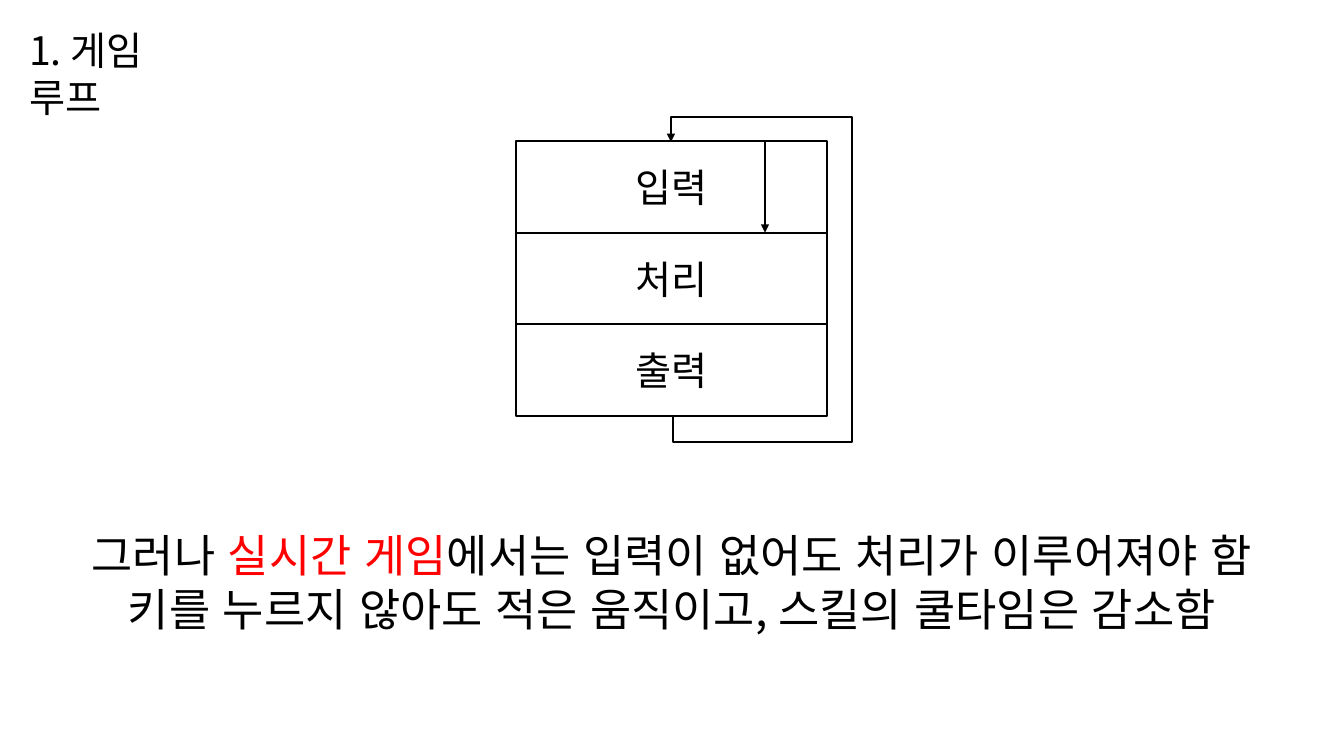
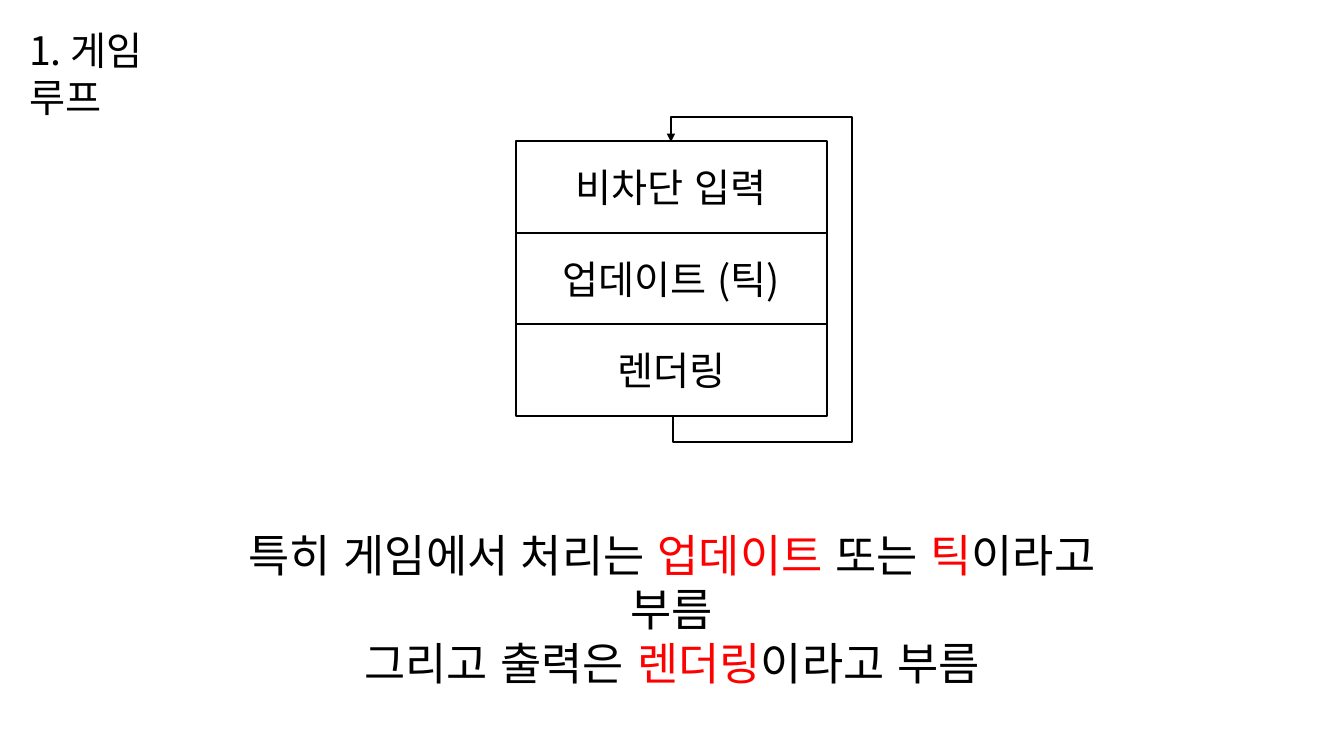
"""Build two slides on the game loop, each a three-step cycle with a caption."""
from lxml import etree
from pptx import Presentation
from pptx.dml.color import RGBColor
from pptx.enum.lang import MSO_LANGUAGE_ID
from pptx.enum.shapes import MSO_CONNECTOR, MSO_SHAPE
from pptx.enum.text import MSO_ANCHOR, MSO_AUTO_SIZE, PP_ALIGN
from pptx.oxml.ns import qn
from pptx.util import Pt

EMU = 914400 / 100.8
W, H = 1344, 756
FONT = "Noto Sans CJK KR"
COLORS = {"ink": "000000", "paper": "FFFFFF", "accent": "FF0000"}
KOREAN = MSO_LANGUAGE_ID.KOREAN
RECT = MSO_SHAPE.RECTANGLE
STRAIGHT, ELBOW = MSO_CONNECTOR.STRAIGHT, MSO_CONNECTOR.ELBOW
LEFT, CENTER = PP_ALIGN.LEFT, PP_ALIGN.CENTER
TOP, MIDDLE = MSO_ANCHOR.TOP, MSO_ANCHOR.MIDDLE
NO_FIT = MSO_AUTO_SIZE.NONE

BOX_X, BOX_Y, BOX_W = 516, 141, 311
STACK_H = 275
BOX_H = STACK_H / 3
CAPTION_Y, CAPTION_H = 523, 119
INPUT_ARROW_X = 765

SLIDES = [
    {
        "steps": ["입력", "처리", "출력"],
        "input_arrow": True,
        "caption_w": 1182,
        "caption": [
            [("그러나 ", "ink"), ("실시간 게임", "accent"),
             ("에서는 입력이 없어도 처리가 이루어져야 함", "ink")],
            [("키를 누르지 않아도 적은 움직이고, 스킬의 쿨타임은 감소함", "ink")],
        ],
    },
    {
        "steps": ["비차단 입력", "업데이트 (틱)", "렌더링"],
        "input_arrow": False,
        "caption_w": 930,
        "caption": [
            [("특히 게임에서 처리는 ", "ink"), ("업데이트", "accent"), (" 또는 ", "ink"),
             ("틱", "accent"), ("이라고 부름", "ink")],
            [("그리고 출력은 ", "ink"), ("렌더링", "accent"), ("이라고 부름", "ink")],
        ],
    },
]


def px(*values):
    return [round(v * EMU) for v in values]


def write(sp, lines, size, align, anchor):
    tf = sp.text_frame
    tf.word_wrap = True
    tf.auto_size = NO_FIT
    tf.vertical_anchor = anchor
    for i, line in enumerate(lines):
        p = tf.add_paragraph() if i else tf.paragraphs[0]
        p.alignment = align
        p.font.size = Pt(size)
        p.font.name = FONT
        for text, color in line:
            r = p.add_run()
            r.text = text
            r.font.language_id = KOREAN
            r.font.color.rgb = RGBColor.from_string(COLORS[color])
            etree.SubElement(r.font._element, qn("a:ea"), typeface=FONT)


prs = Presentation()
prs.slide_width, prs.slide_height = px(W, H)

for data in SLIDES:
    s = prs.slides.add_slide(prs.slide_layouts[5])
    title = s.shapes.title
    title.left, title.top, title.width, title.height = px(19, 21, 210, 57)
    write(title, [[("1. 게임 루프", "ink")]], 28, LEFT, TOP)

    caption_x = (W - data["caption_w"]) // 2
    caption = s.shapes.add_textbox(*px(caption_x, CAPTION_Y, data["caption_w"], CAPTION_H))
    write(caption, data["caption"], 32, CENTER, TOP)

    for i, step in enumerate(data["steps"]):
        sp = s.shapes.add_shape(RECT, *px(BOX_X, BOX_Y + i * BOX_H, BOX_W, BOX_H))
        sp.shadow.inherit = False
        sp.fill.solid()
        sp.fill.fore_color.rgb = RGBColor.from_string(COLORS["paper"])
        sp.line.color.rgb = RGBColor.from_string(COLORS["ink"])
        sp.line.width = Pt(1.5)
        write(sp, [[(step, "ink")]], 28, CENTER, MIDDLE)

    loop = s.shapes.add_connector(ELBOW, *px(809, 278, 535, 280))
    loop._element.spPr.find(qn("a:xfrm")).set("rot", "5400000")
    geom = loop._element.spPr.find(qn("a:prstGeom"))
    geom.set("prst", "bentConnector5")
    guides = geom.find(qn("a:avLst"))
    for name, value in (("adj1", -9500), ("adj2", -9020000), ("adj3", 109200)):
        etree.SubElement(guides, qn("a:gd"), name=name, fmla=f"val {value}")
    arrows = [loop]
    if data["input_arrow"]:
        arrows.append(s.shapes.add_connector(
            STRAIGHT, *px(INPUT_ARROW_X, BOX_Y, INPUT_ARROW_X, BOX_Y + BOX_H)))
    for arrow in arrows:
        arrow.line.color.rgb = RGBColor.from_string(COLORS["ink"])
        arrow.line.width = Pt(1.5)
        etree.SubElement(arrow.line._get_or_add_ln(), qn("a:tailEnd"), type="triangle")
        etree.SubElement(arrow._element.spPr, qn("a:effectLst"))

prs.save("out.pptx")
